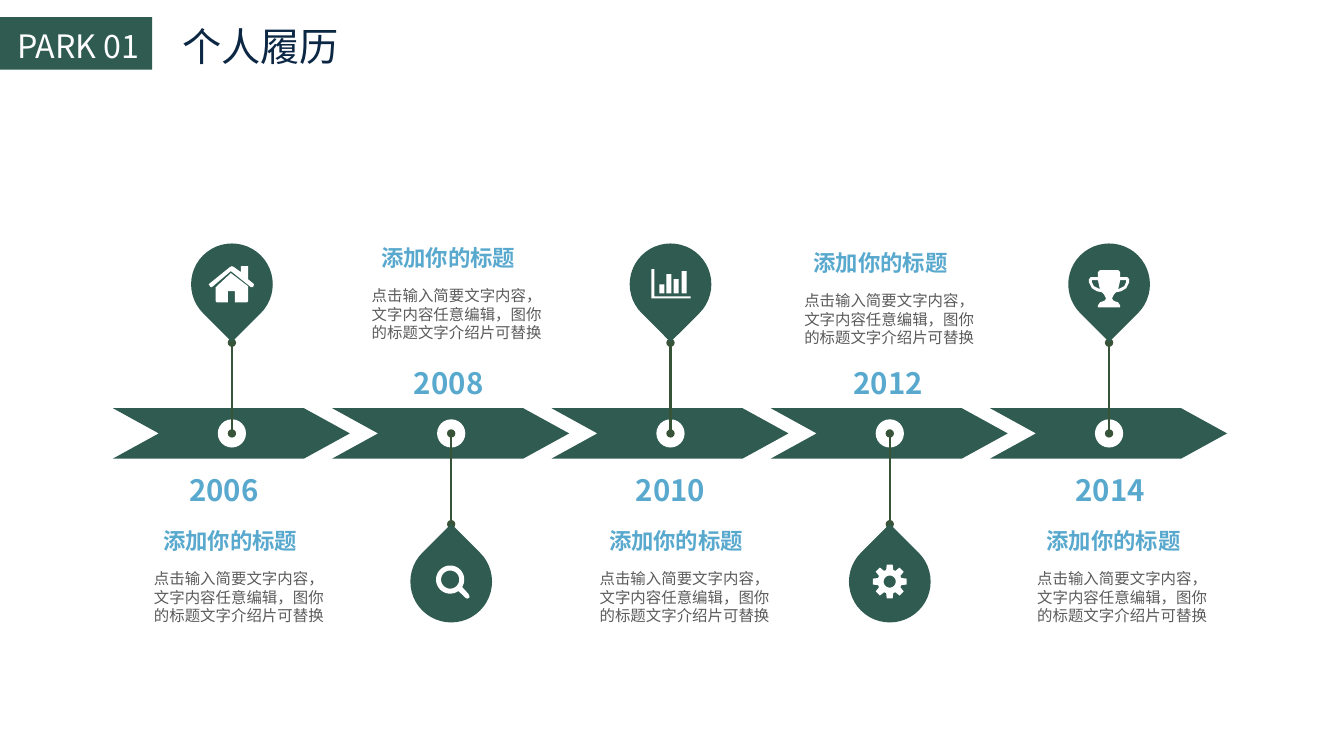
from math import cos, radians, sin

from lxml.etree import SubElement
from pptx import Presentation
from pptx.dml.color import RGBColor
from pptx.enum.shapes import MSO_CONNECTOR, MSO_SHAPE
from pptx.enum.text import MSO_ANCHOR, PP_ALIGN
from pptx.oxml.ns import qn
from pptx.util import Emu, Pt

PX = 9144
FONT = "Noto Sans CJK SC"
GREEN, LINE, BLUE = "2F5B50", "375439", "59A9CE"
WHITE, NAVY, GREY = "FFFFFF", "0C2744", "5B5B5B"
HEADING = "添加你的标题"
BODY = "点击输入简要文字内容，文字内容任意编辑，图你的标题文字介绍片可替换"


def px(n):
    """Turn px into EMU."""
    return Emu(round(n * PX))


def rgb(value):
    """Turn a hex string into a colour."""
    return RGBColor.from_string(value)


def paint(s, color):
    """Give a shape a flat fill with no line or shadow."""
    s.shadow.inherit = False
    s.fill.solid()
    s.fill.fore_color.rgb = rgb(color)
    s.line.fill.background()


def add_block(slide, kind, x, y, w, h, color, rotation=0):
    """Add a flat preset shape."""
    s = slide.shapes.add_shape(kind, px(x), px(y), px(w), px(h))
    paint(s, color)
    s.rotation = rotation
    return s


def add_text(slide, text, x, y, w, h, size, color, bold=False, inset=(9, 5),
             align=PP_ALIGN.CENTER, wrap=False, anchor=MSO_ANCHOR.TOP):
    """Add a text box with one paragraph."""
    tf = slide.shapes.add_textbox(px(x), px(y), px(w), px(h)).text_frame
    tf.word_wrap = wrap
    tf.vertical_anchor = anchor
    tf.margin_left = tf.margin_right = px(inset[0])
    tf.margin_top = tf.margin_bottom = px(inset[1])
    p = tf.paragraphs[0]
    p.text = text
    p.alignment = align
    p.font.size = Pt(size)
    p.font.bold = bold
    p.font.color.rgb = rgb(color)
    p.font.name = FONT
    SubElement(p._p.pPr.find(qn("a:defRPr")), qn("a:ea"), typeface=FONT)


def add_stem(slide, x, y1, y2):
    """Add a vertical line with a dot at each end."""
    s = slide.shapes.add_connector(MSO_CONNECTOR.STRAIGHT, px(x), px(y1), px(x), px(y2))
    s.line.color.rgb = rgb(LINE)
    s.line.width = Pt(1.5)
    ln = s.line._get_or_add_ln()
    for end in ("a:headEnd", "a:tailEnd"):
        SubElement(ln, qn(end), type="oval")
    SubElement(s._element.spPr, qn("a:effectLst"))


def add_icon(slide, contours, cx, cy):
    """Draw closed outlines, given around a centre, as one white shape."""
    placed = [[(px(cx + x), px(cy + y)) for x, y in c] for c in contours]
    builder = slide.shapes.build_freeform(*placed[0][0], scale=1.0)
    for i, points in enumerate(placed):
        if i:
            builder.move_to(*points[0])
        builder.add_line_segments(points[1:], close=True)
    paint(builder.convert_to_shape(), WHITE)


def polar(cx, cy, radius, degrees):
    """Return the point at an angle on a circle."""
    return cx + radius * cos(radians(degrees)), cy + radius * sin(radians(degrees))


def arc(cx, cy, radius, start=0, stop=360, steps=40):
    """Return points along an arc."""
    return [polar(cx, cy, radius, start + (stop - start) * i / steps)
            for i in range(steps + 1)]


def mirror(points):
    """Reflect points across the vertical axis."""
    return [(-x, y) for x, y in points]


def house():
    """Outline a house."""
    roof = [(21, 3), (19, 3), (-1, -13), (-20, 3), (-21, 3), (-23, 0), (-2, -17),
            (0, -18), (2, -17), (9, -12), (9, -18), (16, -18), (16, -5), (22, 0)]
    walls = [(16, 17), (15, 18), (3, 18), (3, 7), (-4, 7), (-4, 18), (-15, 18),
             (-16, 17), (-16, 3), (-1, -11), (16, 2)]
    return [roof, walls]


def bars():
    """Outline a small bar chart."""
    axes = [(20, 14), (-19, 14), (-19, -15), (-16, -15), (-16, 12), (20, 12)]
    tops = [(-11, 0), (-4, -10), (3, -5), (11, -13)]
    return [axes] + [[(x, y), (x + 5, y), (x + 5, 9), (x, 9)] for x, y in tops]


def trophy():
    """Outline a trophy with two handles."""
    half = [(9, -14), (11, -12), (11, -7), (18, -7), (20, -5), (20, -2), (17, 4),
            (12, 7), (7, 8), (5, 10), (3, 14), (4, 16), (6, 17), (9, 18), (11, 21), (11, 23)]
    hole = [(11, -4), (17, -4), (17, -2), (15, 2), (9, 5), (10, 1)]
    return [half + mirror(half)[::-1], hole, mirror(hole)]


def magnifier():
    """Outline a magnifying glass."""
    handle = [(17, 12), (18, 14), (18, 16), (16, 17), (14, 16)]
    return [arc(-1, -2, 14, 54, 392) + handle, arc(-1, -2, 9)]


def gear():
    """Outline a gear with eight teeth."""
    tooth = [(-17, 12), (-10, 17), (10, 17), (17, 12)]
    rim = [polar(0, 0, r, 45 * k + a) for k in range(8) for a, r in tooth]
    return [rim, arc(0, 0, 6)]


def add_stage(slide, index, year, icon, year_x, text_x, text_y):
    """Add one step of the timeline, its pin above or below the arrow."""
    left = 112 + 217.5 * index
    x = left + 118
    above = index % 2 == 0
    pin_y = 282 if above else 577
    arrow = add_block(slide, MSO_SHAPE.NOTCHED_RIGHT_ARROW, left, 405, 235, 50, GREEN)
    arrow.adjustments[0] = 1
    arrow.adjustments[1] = 0.91
    add_block(slide, MSO_SHAPE.OVAL, x - 14, 416, 28, 28, WHITE)
    add_text(slide, year, year_x - 37, 468 if above else 362, 74, 36, 21, BLUE, True,
             (0, 0), anchor=MSO_ANCHOR.MIDDLE)
    add_stem(slide, x, 340 if above else 520, 430)
    add_block(slide, MSO_SHAPE.TEAR, x - 40.5, pin_y - 40.5, 81, 81, GREEN,
              135 if above else 315)
    add_icon(slide, icon, x, pin_y)
    add_text(slide, HEADING, text_x - 76, text_y, 135, 27, 16, BLUE, True, (0, 0))
    add_text(slide, BODY, text_x - 99, text_y + 37, 198, 67, 11, GREY,
             inset=(10, 5), wrap=True)


def main():
    """Build the slide and save it."""
    prs = Presentation()
    prs.slide_width, prs.slide_height = px(1333), px(750)
    slide = prs.slides.add_slide(prs.slide_layouts[6])
    add_block(slide, MSO_SHAPE.RECTANGLE, 0, 17, 151, 52, GREEN)
    add_text(slide, "PARK 01", 8, 21, 146, 48, 23, WHITE, align=PP_ALIGN.LEFT)
    add_text(slide, "个人履历", 172, 17, 179, 57, 28, NAVY, align=PP_ALIGN.LEFT)
    stages = [
        ("2006", house(), 222, 237, 523),
        ("2008", magnifier(), 445, 453, 242),
        ("2010", bars(), 665, 679, 523),
        ("2012", gear(), 881, 882, 247),
        ("2014", trophy(), 1101, 1113, 523),
    ]
    for index, stage in enumerate(stages):
        add_stage(slide, index, *stage)
    prs.save("out.pptx")


if __name__ == "__main__":
    main()
